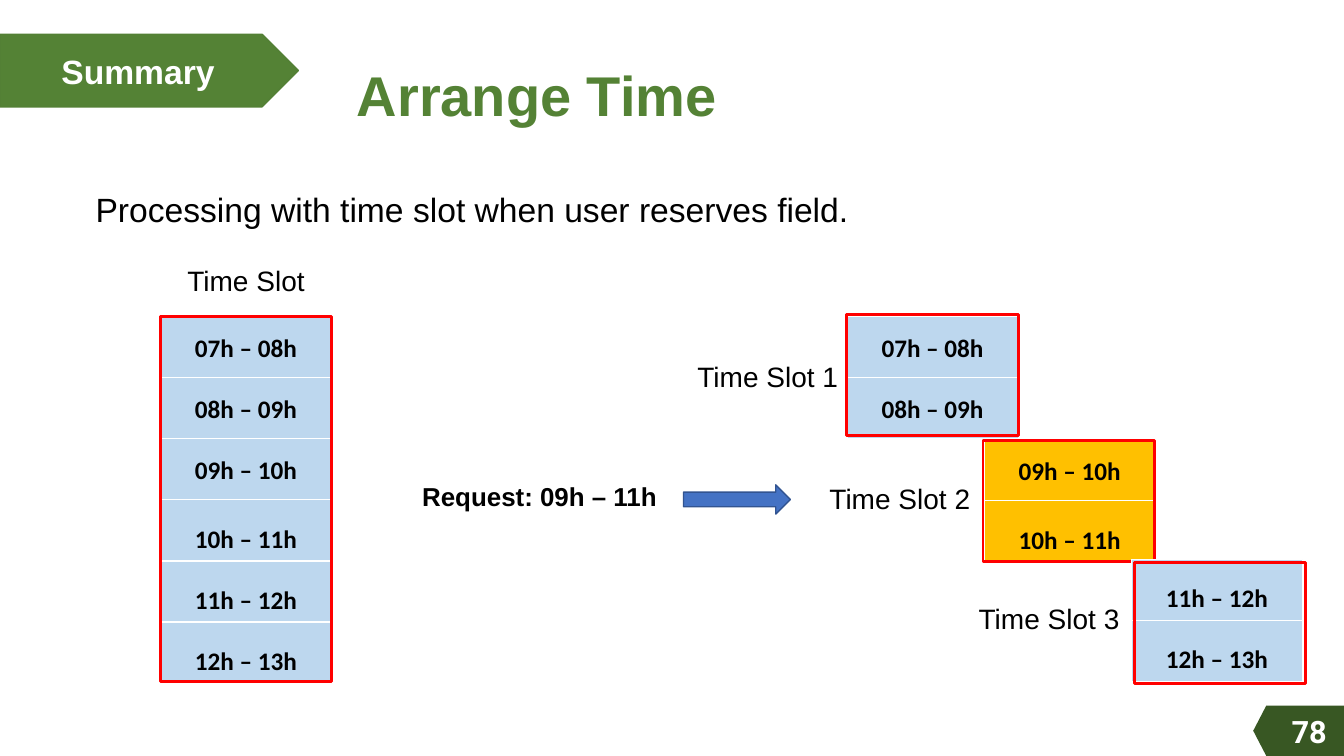
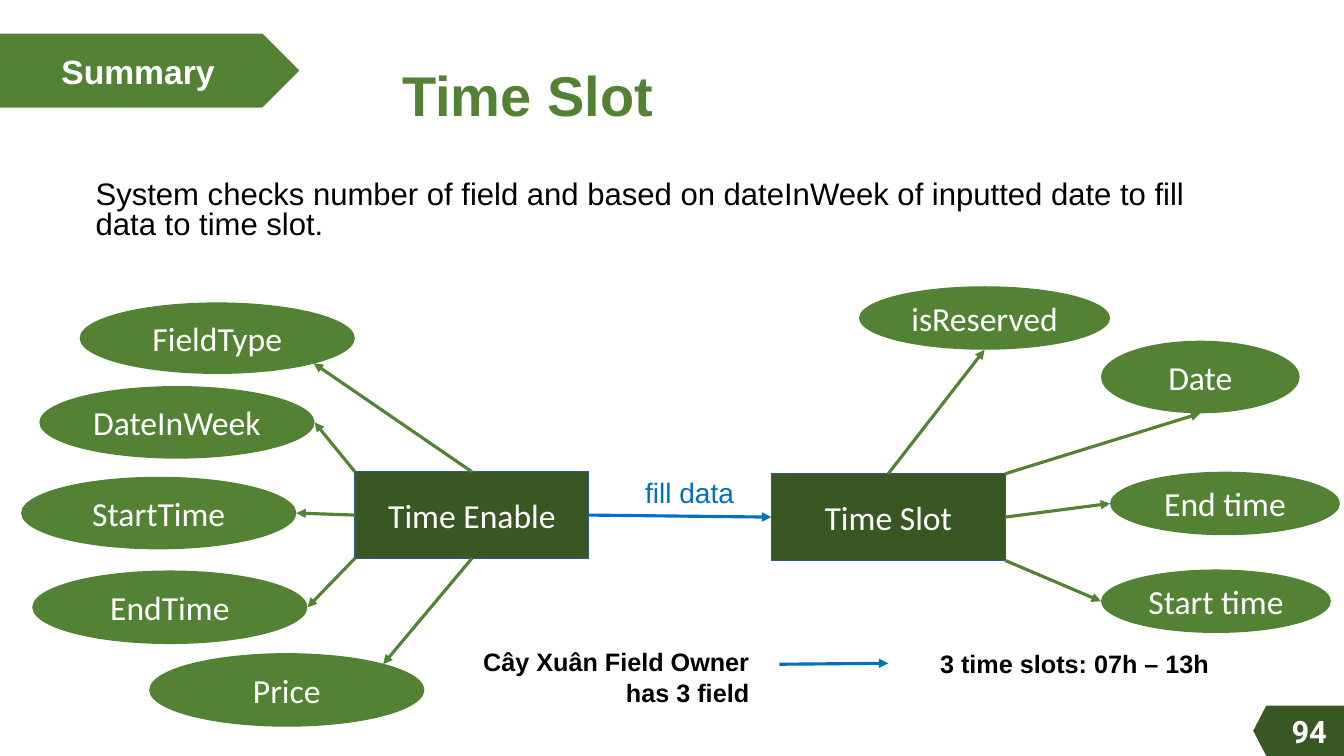
"""Build two summary slides that explain how time slots are arranged and filled."""
from lxml import etree
from pptx import Presentation
from pptx.dml.color import RGBColor
from pptx.enum.shapes import MSO_CONNECTOR, MSO_SHAPE
from pptx.enum.text import MSO_ANCHOR, MSO_AUTO_SIZE, PP_ALIGN
from pptx.oxml.ns import qn
from pptx.util import Inches, Pt

LEFT, CENTER, RIGHT = PP_ALIGN.LEFT, PP_ALIGN.CENTER, PP_ALIGN.RIGHT
MIDDLE = MSO_ANCHOR.MIDDLE
NO_AUTOFIT = MSO_AUTO_SIZE.NONE
STRAIGHT = MSO_CONNECTOR.STRAIGHT
RECTANGLE, ELLIPSE = MSO_SHAPE.RECTANGLE, MSO_SHAPE.OVAL
PENTAGON, BLOCK_ARROW = MSO_SHAPE.PENTAGON, MSO_SHAPE.RIGHT_ARROW

COLUMNS, ROWS = 133.3, 75
TITLE_ONLY = 5
COLORS = {
    "white": "FFFFFF", "black": "000000", "green": "548235",
    "green edge": "538035", "dark green": "385723", "light blue": "BDD7EE",
    "gold": "FFC000", "red": "FF0000", "blue": "4472C4",
    "blue edge": "325491", "flow": "0070C0",
}
FORMATS = {
    "title": ("green", 0.9, {"name": "Arial", "size": Pt(40), "bold": True}),
    "band": ("white", 0.9, {"name": "Arial", "size": Pt(24), "bold": True}),
    "number": ("white", 1, {"name": "Roboto", "size": Pt(22), "bold": True}),
    "lead": ("black", 0.9, {"name": "Arial", "size": Pt(24)}),
    "long lead": ("black", 0.8, {"name": "Arial", "size": Pt(22.2)}),
    "label": ("black", 0.9, {"name": "Arial", "size": Pt(20)}),
    "flow": ("flow", 1, {"name": "Arial", "size": Pt(20)}),
    "request": ("black", 0.9, {"name": "Arial", "size": Pt(18.5), "bold": True}),
    "fact": ("black", 1, {"name": "Arial", "size": Pt(18), "bold": True}),
    "slot": ("black", 1, {"name": "Calibri", "size": Pt(18), "bold": True}),
    "node": ("white", 1, {"name": "Calibri", "size": Pt(24)}),
}
INSETS = (1, 0.5, 1, 0.5)
SITES = {
    "top": (0.5, 0), "bottom": (0.5, 1), "left": (0, 0.5), "right": (1, 0.5),
    "top left": (0, 0), "top right": (1, 0),
    "bottom left": (0, 1), "bottom right": (1, 1),
    "upper arc": (0.85, 0.15), "lower arc": (0.85, 0.85),
}
SLOT_WIDTH, SLOT_HEIGHT, SLOT_PITCH = 17, 6.1, 6.06


def color(name):
    """Return a named colour."""
    return RGBColor.from_string(COLORS[name])


class Deck:
    """Hold the style and the current slide, and draw on its grid."""

    def __init__(self):
        """Start an empty widescreen presentation."""
        self.presentation = Presentation()
        self.presentation.slide_width = Inches(13.33)
        self.presentation.slide_height = Inches(7.5)
        self.column = self.presentation.slide_width / COLUMNS
        self.row = self.presentation.slide_height / ROWS
        self.slide = None

    def place(self, left, top, width, height):
        """Turn columns and rows into lengths."""
        return [round(value * unit) for value, unit in
                zip((left, top, width, height), (self.column, self.row) * 2)]

    def letter(self, shape, text, style, align=CENTER, insets=INSETS):
        """Put one formatted paragraph in a shape."""
        ink, spacing, font_values = FORMATS[style]
        frame = shape.text_frame
        left, top, right, bottom = self.place(*insets)
        frame_values = {
            "word_wrap": True, "auto_size": NO_AUTOFIT, "vertical_anchor": MIDDLE,
            "margin_left": left, "margin_top": top,
            "margin_right": right, "margin_bottom": bottom,
        }
        for name, value in frame_values.items():
            setattr(frame, name, value)
        paragraph = frame.paragraphs[0]
        paragraph.alignment = align
        paragraph.line_spacing = spacing
        run = paragraph.add_run()
        run.text = text
        for name, value in font_values.items():
            setattr(run.font, name, value)
        run.font.color.rgb = color(ink)

    def paint(self, shape, fill=None, edge=None, weight=1):
        """Set the fill and outline of a shape."""
        shape.shadow.inherit = False
        if fill:
            shape.fill.solid()
            shape.fill.fore_color.rgb = color(fill)
        else:
            shape.fill.background()
        if edge:
            shape.line.color.rgb = color(edge)
            shape.line.width = Pt(weight)
        else:
            shape.line.fill.background()

    def shape(self, kind, box, fill=None, edge=None, weight=1):
        """Add a preset shape."""
        shape = self.slide.shapes.add_shape(kind, *self.place(*box))
        self.paint(shape, fill, edge, weight)
        return shape

    def text(self, box, text, style, align=LEFT):
        """Add a text box."""
        shape = self.slide.shapes.add_textbox(*self.place(*box))
        self.letter(shape, text, style, align)

    def node(self, kind, box, text, fill, edge=None):
        """Add a labelled diagram node."""
        shape = self.shape(kind, box, fill, edge)
        self.letter(shape, text, "node")
        return shape

    def arrow(self, start, end, ink):
        """Add a straight arrow between two points."""
        connector = self.slide.shapes.add_connector(STRAIGHT, *start, *end)
        connector.line.color.rgb = color(ink)
        connector.line.width = Pt(2.25)
        properties = connector.element.spPr
        etree.SubElement(properties.find(qn("a:ln")), qn("a:tailEnd"), type="triangle")
        etree.SubElement(properties, qn("a:effectLst"))

    def link(self, source, source_site, target, target_site, ink="green"):
        """Join two shapes at named sites."""
        points = []
        for shape, site in ((source, source_site), (target, target_site)):
            across, down = SITES[site]
            points.append((round(shape.left + across * shape.width),
                           round(shape.top + down * shape.height)))
        self.arrow(*points, ink)

    def slots(self, left, top, hours, fill, frame):
        """Stack hourly slots and outline them."""
        for index, hour in enumerate(hours):
            box = (left, top + index * SLOT_PITCH, SLOT_WIDTH, SLOT_HEIGHT)
            shape = self.shape(RECTANGLE, box, fill, "white")
            inset = 2 if hour >= 10 else 0.5
            self.letter(shape, f"{hour:02}h – {hour + 1:02}h", "slot",
                        insets=(1, inset, 1, 0.5))
        self.shape(RECTANGLE, frame, edge="red", weight=2)

    def badge(self, number):
        """Add the slide number in the corner."""
        corners = [(125.6, 70), (COLUMNS, 70), (COLUMNS, ROWS), (125.6, ROWS), (124.3, 72.5)]
        points = [(x * self.column, y * self.row) for x, y in corners]
        builder = self.slide.shapes.build_freeform(*points[0], scale=1)
        builder.add_line_segments(points[1:], close=True)
        shape = builder.convert_to_shape()
        self.paint(shape, "dark green")
        self.letter(shape, number, "number", RIGHT, (1, 0.5, 1.7, 0.5))

    def start(self, title, title_left, number):
        """Begin a slide with its title, band and number."""
        layout = self.presentation.slide_layouts[TITLE_ONLY]
        self.slide = self.presentation.slides.add_slide(layout)
        heading = self.slide.shapes.title
        heading.left, heading.top, heading.width, heading.height = self.place(
            title_left, 5.1, 72.6, 9.3)
        self.letter(heading, title, "title", LEFT)
        band = self.shape(PENTAGON, (0, 3.4, 29.6, 7.2), "green", "green edge")
        self.letter(band, "Summary", "band", LEFT, (6.1, 1, 1, 0.5))
        self.badge(number)


def arrange_time(deck):
    """Draw the split of a day's slots around a request."""
    deck.start("Arrange Time", 34.4, "78")
    deck.text((8.5, 17.4, 79, 7.2),
              "Processing with time slot when user reserves field.", "lead")
    stacks = [
        (15.9, 31.4, range(7, 13), "light blue", (15.9, 31.4, SLOT_WIDTH, 36.2)),
        (84, 31.4, range(7, 9), "light blue", (84, 31.2, SLOT_WIDTH, 12)),
        (97.6, 43.6, range(9, 11), "gold", (97.5, 43.7, SLOT_WIDTH, 12)),
        (112.2, 55.5, range(11, 13), "light blue", (112.5, 55.8, SLOT_WIDTH, 12)),
    ]
    for stack in stacks:
        deck.slots(*stack)
    deck.text((15.9, 25, SLOT_WIDTH, 6.1), "Time Slot", "label", CENTER)
    spots = [(68.1, 34.5), (81.2, 46.6), (96, 58.5)]
    for number, (left, top) in enumerate(spots, 1):
        deck.text((left, top, 16.1, 6.1), f"Time Slot {number}", "label", CENTER)
    deck.text((40.3, 46.4, 26.4, 6.1), "Request: 09h – 11h", "request", CENTER)
    deck.shape(BLOCK_ARROW, (67.8, 48.1, 10.6, 2.9), "blue", "blue edge")


def time_slot(deck):
    """Draw the two entities, their attributes and the data flow."""
    deck.start("Time Slot", 38.9, "94")
    deck.text((8.5, 17.4, 112.5, 7.2),
              "System checks number of field and based on dateInWeek of "
              "inputted date to fill data to time slot.", "long lead")
    enable, slot = [
        deck.node(RECTANGLE, (left, top, 23.2, 8.6), text, "dark green", "blue edge")
        for left, top, text in ((35.2, 46.8, "Time Enable"), (76.5, 47, "Time Slot"))
    ]
    attributes = [
        (enable, "top", "FieldType", (7.9, 30, 27.3, 7.1), "lower arc"),
        (enable, "top left", "DateInWeek", (3.9, 38.3, 27.3, 7.2), "right"),
        (enable, "left", "StartTime", (2.1, 47.3, 27.3, 7.2), "right"),
        (enable, "bottom left", "EndTime", (3.2, 56.6, 27.3, 7.3), "right"),
        (enable, "bottom", "Price", (14.8, 64.8, 27.3, 7.3), "upper arc"),
        (slot, "top", "isReserved", (85.2, 28.4, 24.9, 6.3), "bottom"),
        (slot, "top right", "Date", (109.2, 33.8, 19.7, 7.2), "bottom"),
        (slot, "right", "End time", (110.1, 46.8, 22.8, 6.3), "left"),
        (slot, "bottom right", "Start time", (109.2, 56.5, 22.8, 6.3), "left"),
    ]
    for entity, entity_site, text, box, site in attributes:
        attribute = deck.node(ELLIPSE, box, text, "green")
        deck.link(entity, entity_site, attribute, site)
    deck.link(enable, "right", slot, "left", "flow")
    deck.text((63, 46.6, 10.9, 4.4), "fill data", "flow")
    deck.text((45.9, 63.6, 29.4, 7.1), "Cây Xuân Field Owner has 3 field", "fact", RIGHT)
    left, top, right, bottom = deck.place(77.3, 65.9, 88.1, 65.8)
    deck.arrow((left, top), (right, bottom), "flow")
    deck.text((89, 63.8, 31.9, 4), "3 time slots: 07h – 13h", "fact", RIGHT)


def main():
    """Build and save the presentation."""
    deck = Deck()
    arrange_time(deck)
    time_slot(deck)
    deck.presentation.save("out.pptx")


if __name__ == "__main__":
    main()
